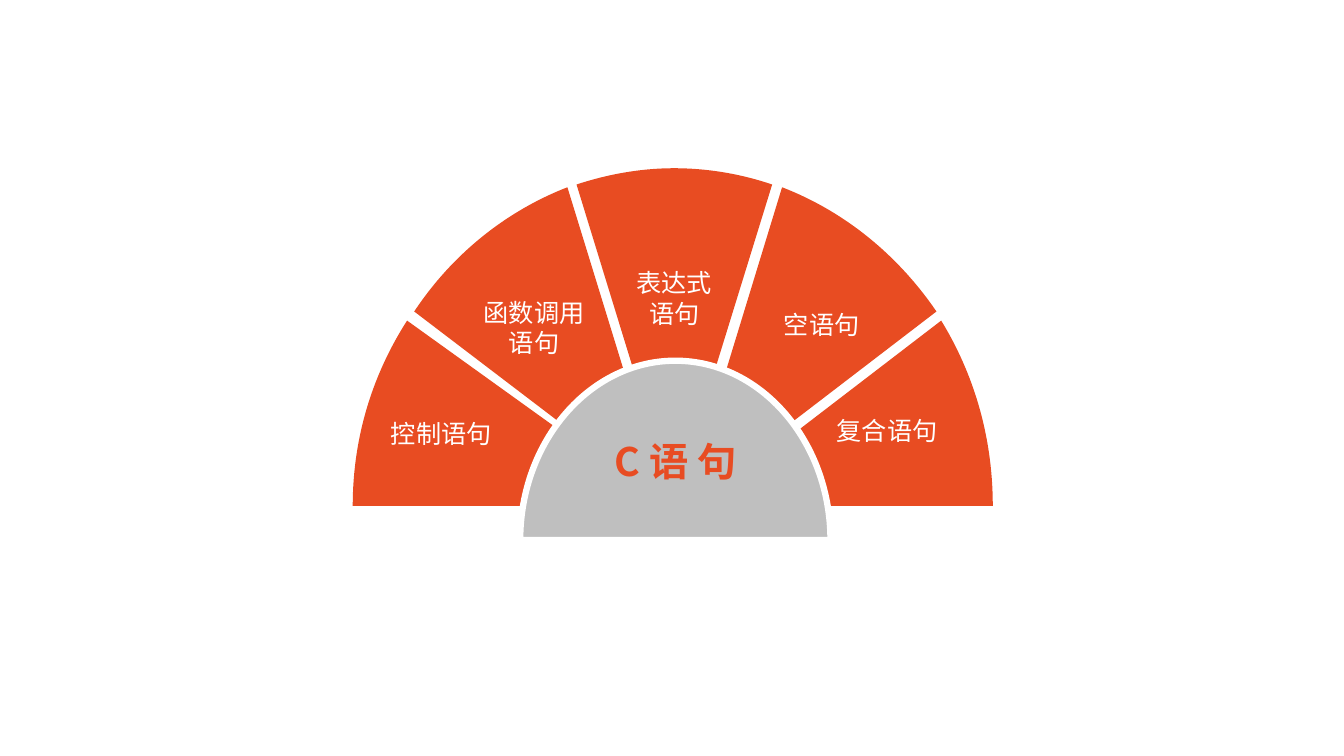
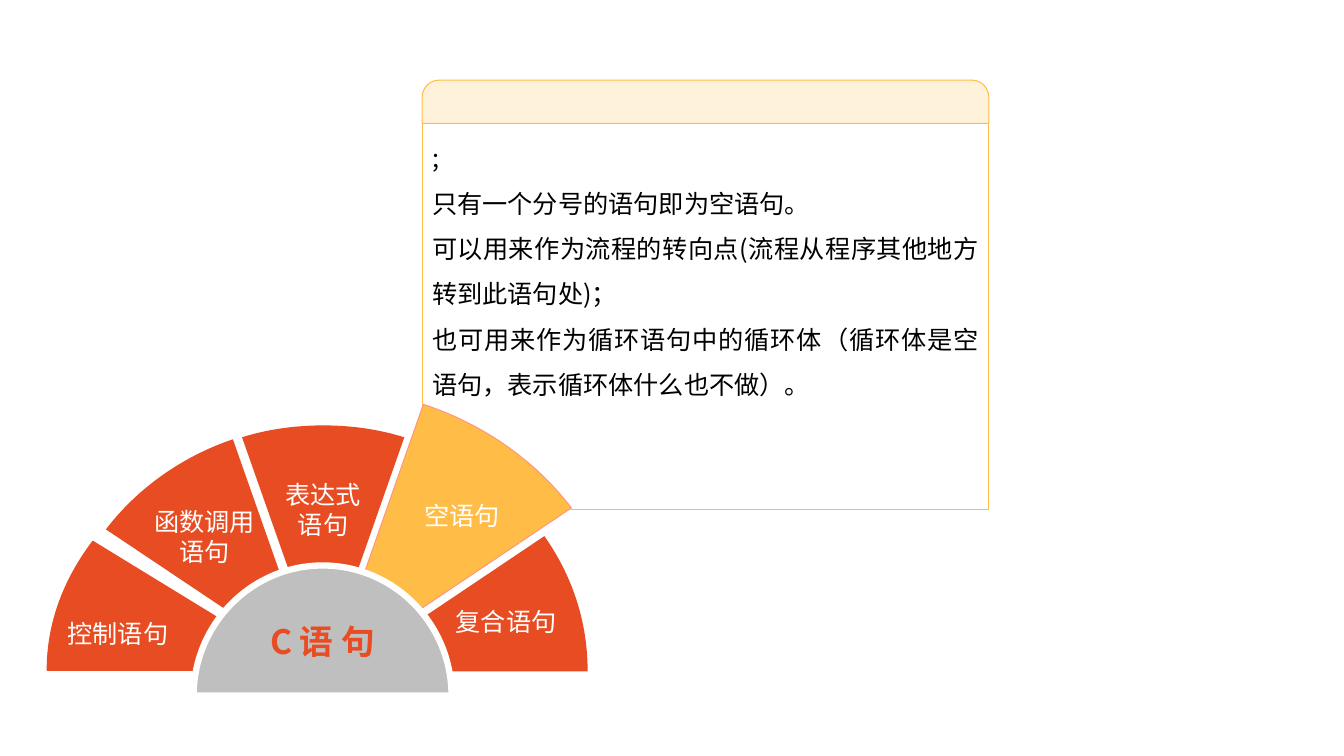
"""Build two slides with a fan of the kinds of C statements."""
from lxml.etree import SubElement
from pptx import Presentation
from pptx.dml.color import RGBColor
from pptx.enum.shapes import MSO_SHAPE
from pptx.enum.text import MSO_ANCHOR, PP_ALIGN
from pptx.oxml.ns import qn
from pptx.util import Cm, Pt

COLORS = {
    "orange": "E84C22", "amber": "FFBD47", "cream": "FFF2DA", "coral": "FF977A",
    "gray": "BFBFBF", "white": "FFFFFF", "black": "000000",
}
FONT = "Noto Sans CJK SC"
LABEL = {"size": Pt(18), "bold": False, "name": FONT}

LABELS = {
    "expression": ["表达式", "语句"],
    "empty": ["空语句"],
    "call": ["函数调用", "语句"],
    "compound": ["复合语句"],
    "control": ["控制语句"],
    "hub": ["C 语 句"],
}
MARGINS = {
    "expression": (0.25, 0.13, 0.25, 2),
    "empty": (0.8, 0.13, 0.25, 1.19),
    "call": (0.25, 0.13, 0.51, 0.99),
    "compound": (2.31, 1, 0.25, 0.13),
    "control": (0.51, 1.5, 0.25, 0.13),
    "hub": (0, 0.51, 0, 0),
}
PANEL_TEXT = [
    ";",
    "只有一个分号的语句即为空语句。",
    "可以用来作为流程的转向点(流程从程序其他地方转到此语句处)；",
    "也可用来作为循环语句中的循环体（循环体是空语句，表示循环体什么也不做）。",
]

FANS = [
    {
        "panel": False,
        "hub_size": 28,
        "control_box": (9.6, 10.41, 4.06, 1.42),
        "arcs": {
            "expression": [(19.46, 4.65), (18.69, 4.39), (17.86, 4.24), (16.99, 4.24),
                           (16.15, 4.24), (15.32, 4.39), (14.53, 4.65)],
            "empty": [(23.6, 7.85), (22.63, 6.43), (21.29, 5.33), (19.71, 4.72)],
            "call": [(14.3, 4.72), (12.73, 5.33), (11.38, 6.43), (10.44, 7.85)],
            "compound": [(25.02, 12.75), (25.02, 11), (24.54, 9.42), (23.72, 8.08)],
            "control": [(8.89, 12.75), (8.89, 11), (9.4, 9.42), (10.26, 8.08)],
            "hub": [(20.93, 13.61), (20.93, 11.13), (19.18, 9.09), (17.02, 9.09),
                    (14.86, 9.09), (13.11, 11.13), (13.11, 13.61)],
        },
        "tips": {"expression": (16.99, 12.65), "empty": (17.27, 12.7), "call": (16.74, 12.65),
                 "compound": (17.63, 12.75), "control": (16.76, 12.75)},
        "styles": {},
    },
    {
        "panel": True,
        "hub_size": 24,
        "control_box": None,
        "arcs": {
            "expression": [(10.19, 11.02), (9.55, 10.82), (8.86, 10.72), (8.15, 10.72),
                           (7.44, 10.72), (6.73, 10.82), (6.1, 11.02)],
            "call": [(5.87, 11.07), (4.57, 11.51), (3.45, 12.32), (2.67, 13.34)],
            "control": [(1.19, 16.89), (1.19, 15.67), (1.63, 14.58), (2.34, 13.64)],
            "empty": [(14.4, 12.8), (13.49, 11.61), (12.19, 10.69), (10.67, 10.19)],
            "compound": [(14.81, 16.92), (14.81, 15.62), (14.4, 14.48), (13.72, 13.51)],
            "hub": [(11.38, 17.53), (11.38, 15.72), (9.93, 14.25), (8.13, 14.25),
                    (6.35, 14.25), (4.88, 15.72), (4.88, 17.53)],
        },
        "tips": {"expression": (8.15, 16.84), "empty": (8.33, 16.87), "call": (7.9, 16.84),
                 "compound": (8.64, 16.92), "control": (7.65, 16.89)},
        "styles": {"empty": ("amber", "coral", 0.75), "control": ("orange", "orange", 0.75)},
    },
]


def paint(shape, fill, line=None, width=0.75):
    shape.shadow.inherit = False
    shape.fill.solid()
    shape.fill.fore_color.rgb = RGBColor.from_string(COLORS[fill])
    if line:
        shape.line.color.rgb = RGBColor.from_string(COLORS[line])
        shape.line.width = Pt(width)
    else:
        shape.line.fill.background()


def write(shape, lines, color, margins, anchor, para_format, font_format):
    frame = shape.text_frame
    sides = ("margin_left", "margin_top", "margin_right", "margin_bottom")
    insets = {side: Cm(margin) for side, margin in zip(sides, margins)}
    for key, value in {"word_wrap": True, "vertical_anchor": anchor, **insets}.items():
        setattr(frame, key, value)
    for index, line in enumerate(lines):
        para = frame.add_paragraph() if index else frame.paragraphs[0]
        for key, value in para_format.items():
            setattr(para, key, value)
        span = para.add_run()
        span.text = line
        for key, value in font_format.items():
            setattr(span.font, key, value)
        span.font.color.rgb = RGBColor.from_string(COLORS[color])
        SubElement(span.font._element, qn("a:ea")).set("typeface", FONT)


deck = Presentation()
deck.slide_width, deck.slide_height = Cm(33.87), Cm(19.05)

for fan in FANS:
    page = deck.slides.add_slide(deck.slide_layouts[6])
    shapes = page.shapes if fan["panel"] else page.shapes.add_group_shape().shapes

    if fan["panel"]:
        panel = shapes.add_shape(
            MSO_SHAPE.RECTANGLE, Cm(10.64), Cm(2.96), Cm(14.28), Cm(9.89))
        paint(panel, "white", "amber")
        write(panel, PANEL_TEXT, "black", [0.25] * 4, MSO_ANCHOR.TOP,
              {"alignment": PP_ALIGN.JUSTIFY, "line_spacing": 1.5}, LABEL)
        header = shapes.add_shape(
            MSO_SHAPE.ROUND_2_SAME_RECTANGLE, Cm(10.64), Cm(2.02), Cm(14.28), Cm(1.09))
        header.adjustments[0] = 0.39
        paint(header, "cream", "amber")

    for name, arc in fan["arcs"].items():
        is_hub = name == "hub"
        outline = arc if is_hub else arc + [fan["tips"][name]]
        corners = [(Cm(x), Cm(y)) for x, y in outline]
        builder = shapes.build_freeform(*corners[0])
        builder.add_line_segments(corners[1:], close=True)
        piece = builder.convert_to_shape()

        segments = list(piece._element.iter(qn("a:lnTo")))
        for first in range(0, len(arc) - 1, 3):
            curve = segments[first]
            curve.tag = qn("a:cubicBezTo")
            for segment in segments[first + 1:first + 3]:
                curve.append(segment[0])
                segment.getparent().remove(segment)

        default_style = ("gray", "white", 4.5) if is_hub else ("orange",)
        paint(piece, *fan["styles"].get(name, default_style))
        if name == "control" and fan["control_box"]:
            continue
        font_format = {**LABEL, "size": Pt(fan["hub_size"]), "bold": True} if is_hub else LABEL
        alignment = PP_ALIGN.JUSTIFY if name == "control" else PP_ALIGN.CENTER
        write(piece, LABELS[name], "orange" if is_hub else "white", MARGINS[name],
              MSO_ANCHOR.MIDDLE, {"alignment": alignment}, font_format)

    if fan["control_box"]:
        box = shapes.add_textbox(*[Cm(length) for length in fan["control_box"]])
        write(box, LABELS["control"], "white", (0.25, 0.13, 0.25, 0.13),
              MSO_ANCHOR.TOP, {"alignment": PP_ALIGN.LEFT}, LABEL)

deck.save("out.pptx")
